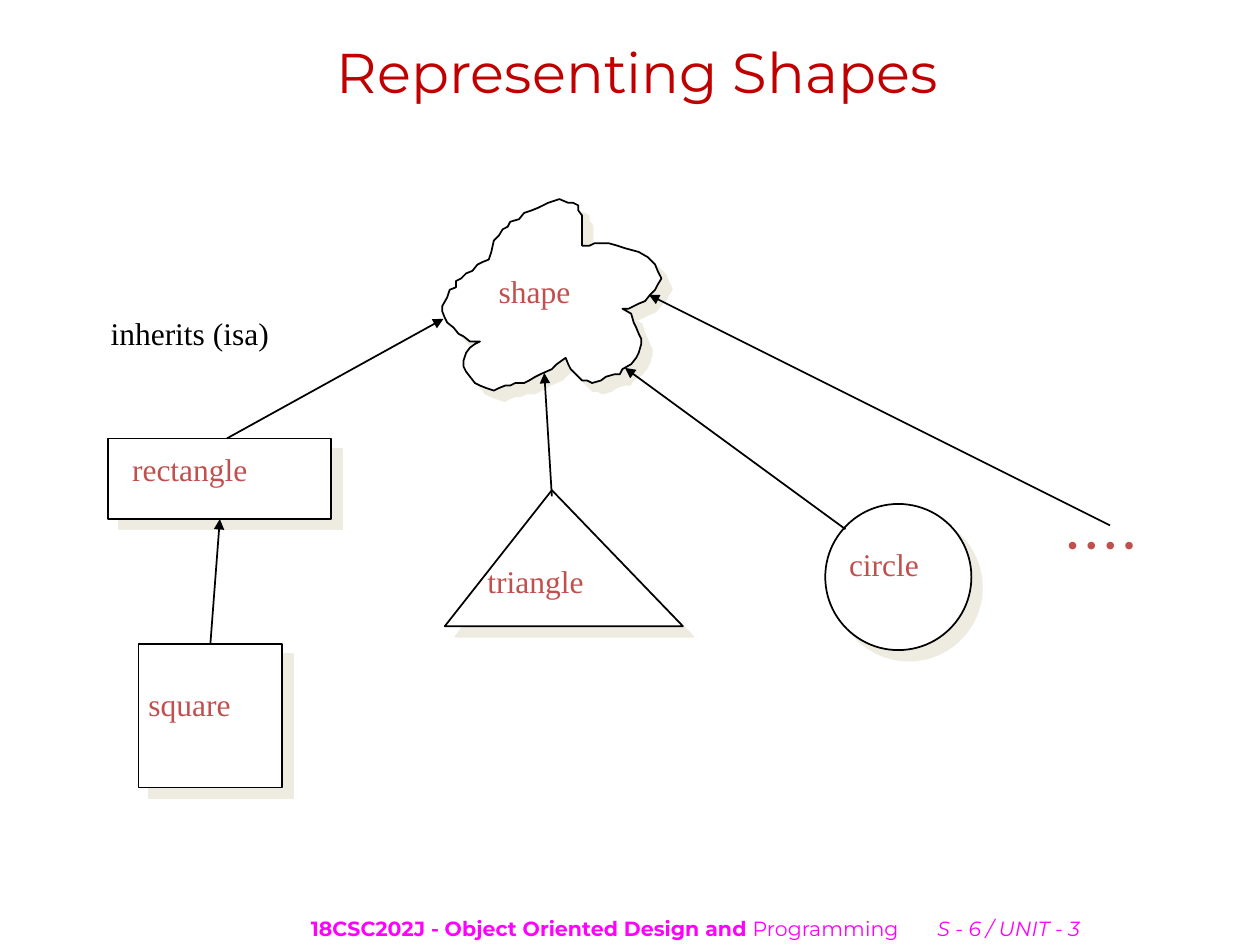
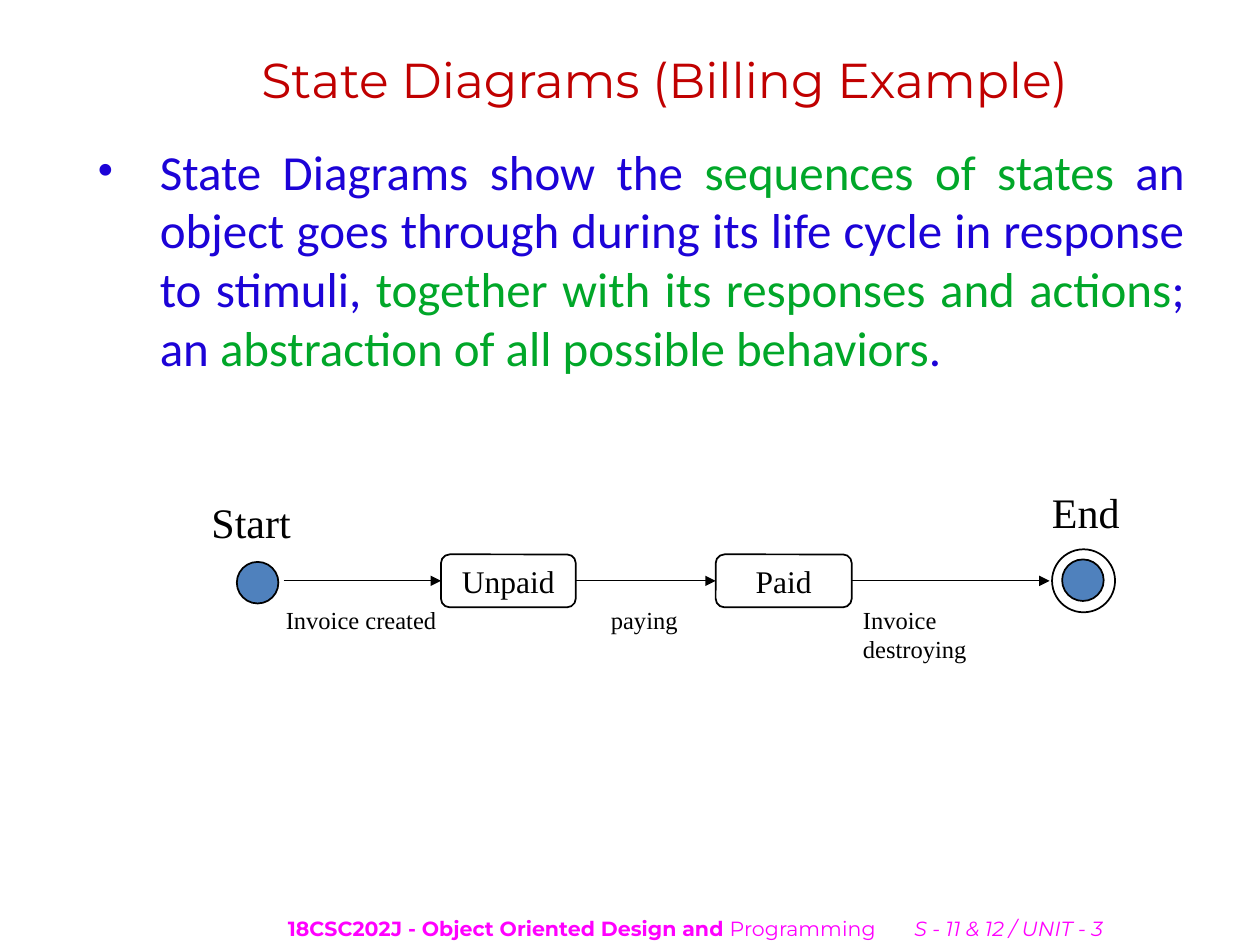
import lxml.etree
import pptx
import pptx.dml.color
import pptx.enum.shapes
import pptx.enum.text
import pptx.oxml.ns
import pptx.util

SLIDE_WIDTH, SLIDE_HEIGHT = pptx.util.Inches(10), pptx.util.Inches(7.5)
COLUMNS, ROWS = 100, 75
FINE_STEP = SLIDE_WIDTH / COLUMNS / 10

SHAPES = pptx.enum.shapes.MSO_SHAPE
ALIGN = pptx.enum.text.PP_ALIGN
MIDDLE = pptx.enum.text.MSO_ANCHOR.MIDDLE
TOP_SIDE, LEFT_SIDE, BOTTOM_SIDE, RIGHT_SIDE = range(4)

BLACK, WHITE = "000000", "FFFFFF"
TITLE_RED, FOOTER_PINK = "C00000", "FF00FF"
LABEL_RED, SHADOW_BEIGE = "C0504D", "EEECE1"
STATE_BLUE, BODY_BLUE, BODY_GREEN = "4F81BD", "1C03D7", "01A729"

TITLE_FONT = {"name": "Montserrat", "bold": False, "color": TITLE_RED}
FOOTER_FONT = {"name": "Montserrat", "size": 11.7, "bold": False, "color": FOOTER_PINK}
LABEL_FONT = {"name": "Times New Roman", "size": 18, "color": BLACK}
BODY_FONT = {"name": "Calibri", "size": 28, "color": BODY_BLUE}

CLOUD_OUTLINE = [
    (390, 200), (392, 191), (396, 187), (399, 182), (403, 180), (405, 176),
    (412, 174), (416, 169), (422, 167), (427, 165), (431, 163), (435, 161),
    (444, 158), (451, 161), (455, 161), (459, 163), (459, 167), (462, 171),
    (462, 195), (468, 195), (472, 193), (483, 193), (490, 195), (496, 197),
    (507, 200), (514, 204), (520, 210), (522, 215), (525, 221), (522, 226),
    (520, 230), (516, 234), (512, 239), (507, 241), (503, 243), (499, 245),
    (494, 245), (501, 249), (503, 256), (505, 260), (507, 265), (509, 269),
    (509, 273), (507, 280), (505, 284), (501, 289), (494, 293), (492, 297),
    (488, 297), (481, 299), (477, 302), (470, 304), (466, 302), (462, 302),
    (457, 297), (453, 293), (451, 289), (449, 284), (442, 289), (438, 293),
    (429, 297), (425, 299), (420, 302), (416, 304), (409, 304), (405, 306),
    (401, 306), (396, 308), (392, 310), (386, 308), (381, 306), (377, 304),
    (370, 295), (368, 291), (368, 286), (370, 280), (373, 276), (377, 273),
    (381, 271), (373, 271), (368, 267), (364, 265), (360, 260), (355, 256),
    (353, 252), (351, 247), (351, 243), (355, 236), (357, 230), (362, 228),
    (362, 223), (366, 221), (370, 217), (375, 215), (379, 210), (383, 208),
    (388, 206),
]
TRIANGLE_OUTLINE = [(542, 497), (353, 497), (438, 389)]


def col(count):
    return round(SLIDE_WIDTH * count / COLUMNS)


def row(count):
    return round(SLIDE_HEIGHT * count / ROWS)


def area(left, top, width, height):
    return col(left), row(top), col(width), row(height)


def rgb(value):
    return pptx.dml.color.RGBColor.from_string(value)


def add_xml(parent, tag, **attributes):
    return lxml.etree.SubElement(parent, pptx.oxml.ns.qn(tag), attributes)


def assign(target, values):
    for key, value in values.items():
        setattr(target, key, value)


def write(frame, runs, font, align=ALIGN.LEFT, **frame_format):
    assign(frame, {"word_wrap": True, **frame_format})
    paragraph = frame.paragraphs[0]
    paragraph.alignment = align
    for words, changes in runs:
        run = paragraph.add_run()
        run.text = words
        values = {**font, **changes}
        run.font.color.rgb = rgb(values.pop("color"))
        values["size"] = pptx.util.Pt(values["size"])
        spacing = values.pop("spacing", None)
        assign(run.font, values)
        if spacing:
            run.font._element.set("spc", str(spacing))
    return paragraph


def add_text(slide, place, runs, font, align=ALIGN.LEFT, **frame_format):
    frame = slide.shapes.add_textbox(*area(*place)).text_frame
    return write(frame, runs, font, align, **frame_format)


def add_label(slide, left, top, width, words, color=BLACK, size=18, height=5):
    add_text(slide, (left, top, width, height), [(words, {})],
             {**LABEL_FONT, "color": color, "size": size}, word_wrap=False)


def outline(shape, fill=None):
    shape.shadow.inherit = False
    if fill:
        shape.fill.solid()
        shape.fill.fore_color.rgb = rgb(fill)
    else:
        shape.fill.background()
    shape.line.color.rgb = rgb(BLACK)
    shape.line.width = pptx.util.Pt(1)
    return shape


def add_figure(slide, kind, place, fill=None):
    return outline(slide.shapes.add_shape(kind, *area(*place)), fill)


def add_outline(slide, points):
    builder = slide.shapes.build_freeform(*points[0], scale=FINE_STEP)
    builder.add_line_segments(points[1:], close=True)
    return outline(builder.convert_to_shape(), WHITE)


def cast_shadow(shape):
    effects = shape.element.spPr.find(pptx.oxml.ns.qn("a:effectLst"))
    shadow = add_xml(effects, "a:outerShdw", dist=str(pptx.util.Pt(8.5)),
                     dir="2700000", algn="ctr", rotWithShape="0")
    add_xml(shadow, "a:srgbClr", val=SHADOW_BEIGE)


def add_arrow(slide, start, end, width=1, source=None, target=None):
    arrow = slide.shapes.add_connector(
        pptx.enum.shapes.MSO_CONNECTOR.STRAIGHT,
        col(start[0]), row(start[1]), col(end[0]), row(end[1]))
    if source:
        arrow.begin_connect(*source)
    if target:
        arrow.end_connect(*target)
    arrow.line.color.rgb = rgb(BLACK)
    arrow.line.width = pptx.util.Pt(width)
    properties = arrow.element.spPr
    add_xml(properties.find(pptx.oxml.ns.qn("a:ln")), "a:tailEnd", type="triangle")
    add_xml(properties, "a:effectLst")


def add_state(slide, left, width, words):
    state = add_figure(slide, SHAPES.FLOWCHART_ALTERNATE_PROCESS, (left, 44, width, 4.2))
    write(state.text_frame, [(words, {})], LABEL_FONT, ALIGN.CENTER,
          word_wrap=False, vertical_anchor=MIDDLE)
    return state


def start_slide(deck, title, title_place, title_size, section):
    slide = deck.slides.add_slide(deck.slide_layouts[5])
    heading = slide.shapes.title
    assign(heading, dict(zip(("left", "top", "width", "height"), area(*title_place))))
    write(heading.text_frame, [(title, {})], {**TITLE_FONT, "size": title_size},
          ALIGN.CENTER, vertical_anchor=MIDDLE,
          auto_size=pptx.enum.text.MSO_AUTO_SIZE.NONE)
    add_text(slide, (12.7, 72.4, 85, 2.6), [
        ("18CSC202J - Object Oriented Design and ", {"bold": True}),
        ("Programming", {}),
        (" ", {"spacing": 1900}),
        (section, {"italic": True}),
    ], FOOTER_FONT, ALIGN.CENTER, vertical_anchor=MIDDLE)
    return slide


def build_shapes_slide(deck):
    slide = start_slide(deck, "Representing Shapes", (5.6, 3, 90, 5.3), 32,
                        "S - 6 / UNIT - 3")
    cloud = add_outline(slide, CLOUD_OUTLINE)
    rectangle = add_figure(slide, SHAPES.RECTANGLE, (8.6, 34.8, 17.7, 6.4), WHITE)
    square = add_figure(slide, SHAPES.RECTANGLE, (11, 51.1, 11.4, 11.4), WHITE)
    triangle = add_outline(slide, TRIANGLE_OUTLINE)
    circle = add_figure(slide, SHAPES.OVAL, (65.5, 40, 11.6, 11.6), WHITE)
    for figure in (cloud, rectangle, square, triangle, circle):
        cast_shadow(figure)

    for left, top, width, words in [
        (38.6, 21.1, 9.6, "shape"),
        (9.5, 35.2, 14.2, "rectangle"),
        (10.8, 53.9, 10.7, "square"),
        (37.7, 44.1, 12.1, "triangle"),
        (66.4, 42.8, 9.4, "circle"),
        (83.7, 41.2, 11.2, "• • • •"),
    ]:
        add_label(slide, left, top, width, words, LABEL_RED)
    add_label(slide, 7.8, 24.4, 18.7, "inherits (isa)")

    for start, end in [
        ((18, 34.8), (35.2, 25.3)),
        ((43.8, 39.4), (43.2, 29.6)),
        ((67.1, 42), (49.6, 29.2)),
        ((88.1, 41.7), (51.5, 23.4)),
    ]:
        add_arrow(slide, start, end)
    add_arrow(slide, (16.9, 51.1), (17.2, 41.2),
              source=(square, TOP_SIDE), target=(rectangle, BOTTOM_SIDE))


def build_states_slide(deck):
    slide = start_slide(deck, "State Diagrams (Billing Example)",
                        (6.9, 3.3, 91.7, 6), 28, "S - 11 & 12 / UNIT - 3")
    green = {"color": BODY_GREEN}
    definition = add_text(slide, (6.7, 10.7, 88.3, 19.9), [
        ("State Diagrams show the ", {}),
        ("sequences of states ", green),
        ("an object goes through during its life cycle in response to stimuli, ", {}),
        ("together with its responses and actions", green),
        ("; an ", {}),
        ("abstraction of all possible behaviors", green),
        (".", {}),
    ], BODY_FONT, ALIGN.JUSTIFY)
    properties = definition._p.get_or_add_pPr()
    properties.set("marL", str(col(5)))
    properties.set("indent", str(-col(5)))
    bullet_color = add_xml(properties, "a:buClr")
    add_xml(bullet_color, "a:srgbClr", val=BODY_BLUE)
    add_xml(properties, "a:buFont", typeface="Times New Roman")
    add_xml(properties, "a:buChar", char="•")

    unpaid = add_state(slide, 35, 10.7, "Unpaid")
    paid = add_state(slide, 56.8, 10.8, "Paid")
    add_figure(slide, SHAPES.OVAL, (18.8, 44.6, 3.3, 3.3), STATE_BLUE)
    add_figure(slide, SHAPES.OVAL, (84.3, 44.4, 3.3, 3.3), STATE_BLUE)
    add_figure(slide, SHAPES.OVAL, (83.5, 43.6, 5, 5))
    add_label(slide, 15.8, 38.9, 10.8, "Start", size=24)
    add_label(slide, 82.5, 38.1, 7.5, "End", size=24)

    flow_row = 46.1
    for start, end, source, target in [
        (22.5, 35, None, (unpaid, LEFT_SIDE)),
        (45.7, 56.8, (unpaid, RIGHT_SIDE), (paid, LEFT_SIDE)),
        (67.6, 83.3, (paid, RIGHT_SIDE), None),
    ]:
        add_arrow(slide, (start, flow_row), (end, flow_row), 0.75, source, target)
    for left, width, words in [
        (21.7, 14.4, "Invoice created"),
        (47.5, 7.3, "paying"),
        (67.5, 16.5, "Invoice destroying"),
    ]:
        add_label(slide, left, 47.5, width, words, size=14, height=3.3)


def main():
    deck = pptx.Presentation()
    assign(deck, {"slide_width": SLIDE_WIDTH, "slide_height": SLIDE_HEIGHT})
    build_shapes_slide(deck)
    build_states_slide(deck)
    deck.save("out.pptx")


if __name__ == "__main__":
    main()
